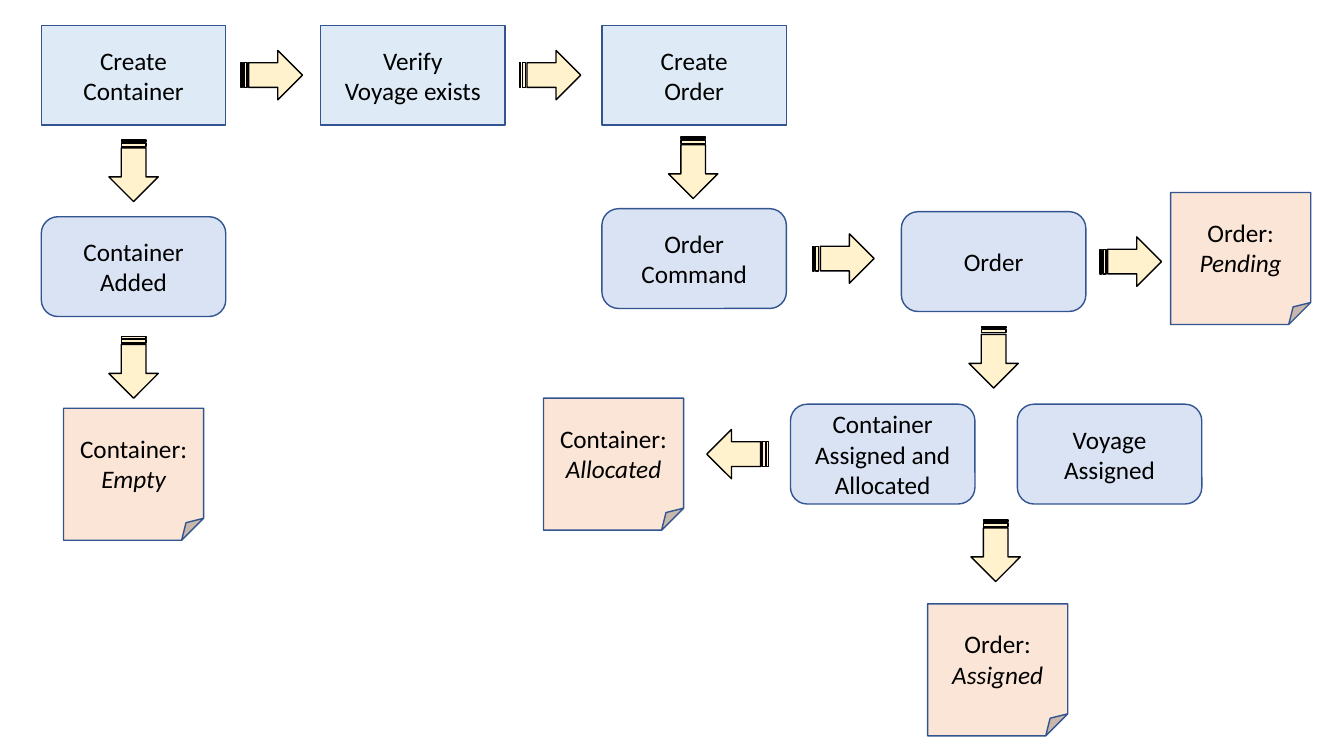
from pptx import Presentation
from pptx.dml.color import RGBColor
from pptx.enum.shapes import MSO_SHAPE as Kind
from pptx.enum.text import MSO_ANCHOR as Anchor, PP_ALIGN as Align
from pptx.util import Inches, Pt

BLUE = "325491"
BLACK = "000000"
STEP = (1.83, 0.99)
NOTE = (1.39, 1.31)
ARROW = (0.61, 0.49)
RIGHT, DOWN, LEFT = 0, 90, 180


def color(code):
    return RGBColor.from_string(code)


def draw(slide, kind, spot, size, fill, line):
    shape = slide.shapes.add_shape(kind, *map(Inches, spot + size))
    shape.shadow.inherit = False
    shape.fill.solid()
    shape.fill.fore_color.rgb = color(fill)
    shape.line.color.rgb = color(line)
    shape.line.width = Pt(1)
    return shape


def add_run(para, text, slant=False):
    para.alignment = Align.CENTER
    run = para.add_run()
    run.text = text
    font = run.font
    font.name = "Calibri"
    font.size = Pt(18)
    font.italic = slant
    font.color.rgb = color(BLACK)


def get_frame(shape):
    frame = shape.text_frame
    frame.word_wrap = True
    frame.vertical_anchor = Anchor.MIDDLE
    return frame


def add_step(slide, kind, fill, spot, lines):
    shape = draw(slide, kind, spot, STEP, fill, BLUE)
    para = get_frame(shape).paragraphs[0]
    for row, text in enumerate(lines):
        if row:
            para.add_line_break()
        add_run(para, text)


def add_action(slide, spot, *lines):
    add_step(slide, Kind.RECTANGLE, "DEEBF7", spot, lines)


def add_event(slide, spot, *lines):
    add_step(slide, Kind.ROUNDED_RECTANGLE, "DAE3F3", spot, lines)


def add_note(slide, spot, owner, state):
    shape = draw(slide, Kind.FOLDED_CORNER, spot, NOTE, "FBE5D6", BLUE)
    frame = get_frame(shape)
    add_run(frame.paragraphs[0], owner)
    add_run(frame.add_paragraph(), state, True)


def add_arrow(slide, spot, turn):
    shape = draw(slide, Kind.STRIPED_RIGHT_ARROW, spot, ARROW, "FFF2CC", BLACK)
    shape.rotation = turn


def add_stock(slide, left, top):
    add_action(slide, (left, top), "Create", "Container")
    add_event(slide, (left, top + 1.9), "Container", "Added")
    add_note(slide, (left + 0.22, top + 3.8), "Container:", "Empty")
    for drop in (1.2, 3.15):
        add_arrow(slide, (left + 0.61, top + drop), DOWN)


def add_check(slide, left, top):
    add_action(slide, (left, top), "Verify", "Voyage exists")
    for shift in (-0.79, 1.97):
        add_arrow(slide, (left + shift, top + 0.25), RIGHT)


def add_order(slide, left, top):
    add_action(slide, (left, top), "Create", "Order")
    add_event(slide, (left, top + 1.82), "Order Command")
    add_event(slide, (left + 2.97, top + 1.85), "Order")
    add_note(slide, (left + 5.64, top + 1.66), "Order:", "Pending")
    add_arrow(slide, (left + 0.6, top + 1.17), DOWN)
    add_arrow(slide, (left + 2.09, top + 2.07), RIGHT)
    add_arrow(slide, (left + 4.94, top + 2.1), RIGHT)
    add_arrow(slide, (left + 3.58, top + 3.05), DOWN)


def add_result(slide, left, top):
    add_note(slide, (left, top), "Container:", "Allocated")
    add_event(slide, (left + 2.45, top + 0.06),
              "Container", "Assigned and Allocated")
    add_event(slide, (left + 4.7, top + 0.06), "Voyage", "Assigned")
    add_note(slide, (left + 3.81, top + 2.04), "Order:", "Assigned")
    add_arrow(slide, (left + 1.62, top + 0.31), LEFT)
    add_arrow(slide, (left + 4.18, top + 1.27), DOWN)


def main():
    deck = Presentation()
    deck.slide_width = Inches(13.33)
    deck.slide_height = Inches(7.5)
    slide = deck.slides.add_slide(deck.slide_layouts[6])
    add_stock(slide, 0.41, 0.25)
    add_check(slide, 3.18, 0.25)
    add_order(slide, 5.97, 0.25)
    add_result(slide, 5.39, 3.95)
    deck.save("out.pptx")


if __name__ == "__main__":
    main()
